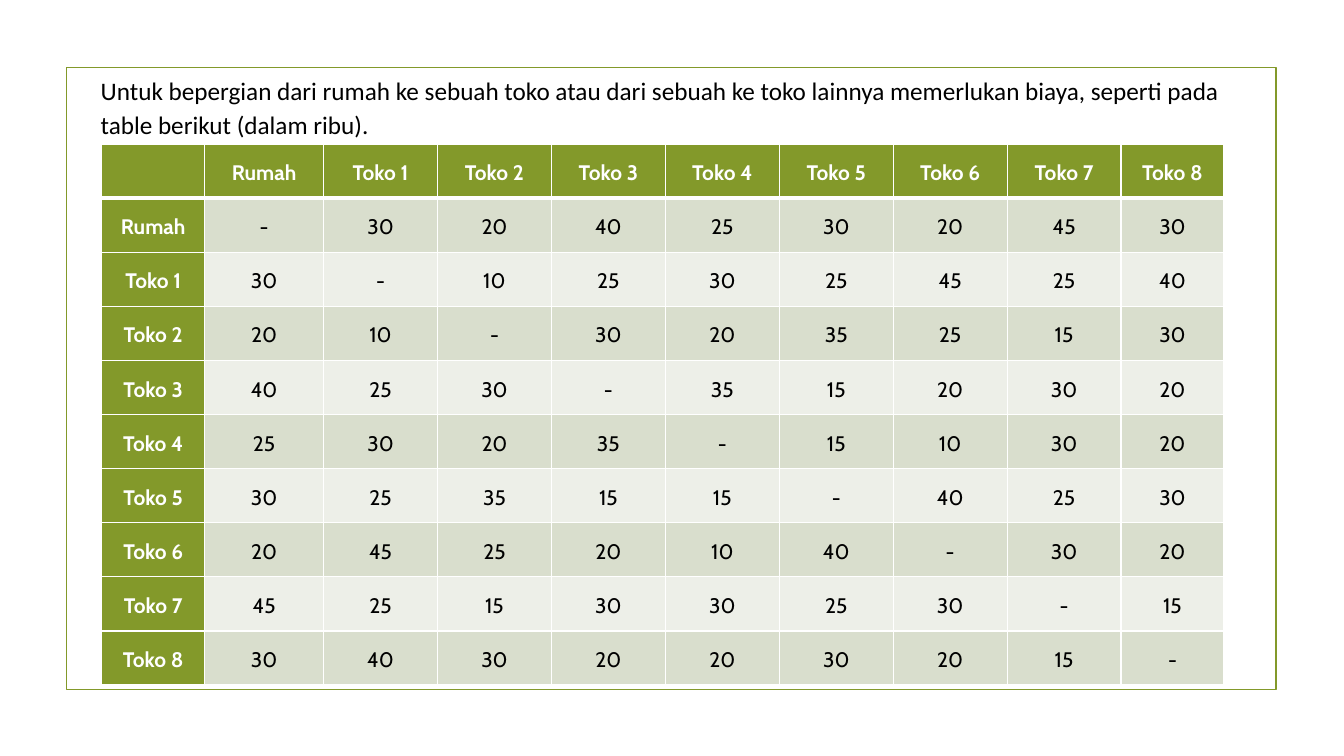
import dataclasses

import lxml.etree
import pptx
import pptx.dml.color
import pptx.enum.shapes
import pptx.enum.text
import pptx.oxml.ns
import pptx.util

Inches = pptx.util.Inches
Pt = pptx.util.Pt

COLORS = {
    "green": "83992A",
    "dark_band": "D9DECD",
    "light_band": "EDEFE8",
    "white": "FFFFFF",
    "black": "000000",
}

INTRO = (
    "Untuk bepergian dari rumah ke sebuah toko atau dari sebuah ke toko lainnya "
    "memerlukan biaya, seperti pada table berikut (dalam ribu)."
)
PLACES = ["Rumah"] + [f"Toko {number}" for number in range(1, 9)]

# Costs are the same both ways: each row lists the places after its own
COSTS_ONWARD = [
    [30, 20, 40, 25, 30, 20, 45, 30],
    [10, 25, 30, 25, 45, 25, 40],
    [30, 20, 35, 25, 15, 30],
    [35, 15, 20, 30, 20],
    [15, 10, 30, 20],
    [40, 25, 30],
    [30, 20],
    [15],
]
COLUMN_WIDTHS = [1.02, 1.18] + [1.13] * 7 + [1.02]
ROW_HEIGHT = 0.537


@dataclasses.dataclass(frozen=True)
class CellStyle:
    fill: str
    text: str
    bold: bool
    bottom_border: float = 1


HEADER = CellStyle("green", "white", True, bottom_border=3)
ROW_LABEL = CellStyle("green", "white", True)
BANDS = [
    CellStyle("dark_band", "black", False),
    CellStyle("light_band", "black", False),
]


def rgb(name: str) -> pptx.dml.color.RGBColor:
    return pptx.dml.color.RGBColor.from_string(COLORS[name])


def cost_text(start: int, end: int) -> str:
    if start == end:
        return "-"
    near, far = sorted((start, end))
    return str(COSTS_ONWARD[near][far - near - 1])


def format_paragraph(paragraph, font: str, size: float, color: str, bold: bool = False) -> None:
    paragraph.line_spacing = 1.15
    paragraph.space_after = Pt(6)
    paragraph.font.name = font
    paragraph.font.size = Pt(size)
    paragraph.font.bold = bold
    paragraph.font.color.rgb = rgb(color)


def add_border(cell, side: str, width: float) -> None:
    qn = pptx.oxml.ns.qn
    properties = cell._tc.get_or_add_tcPr()
    border = lxml.etree.SubElement(properties, qn(f"a:ln{side}"), w=str(Pt(width)))
    fill = lxml.etree.SubElement(border, qn("a:solidFill"))
    lxml.etree.SubElement(fill, qn("a:srgbClr"), val=COLORS["white"])


def fill_cell(cell, text: str, style: CellStyle, top_border: float) -> None:
    # Borders come before the fill in the cell properties
    for side, width in zip("LRTB", (1, 1, top_border, style.bottom_border)):
        add_border(cell, side, width)
    cell.fill.solid()
    cell.fill.fore_color.rgb = rgb(style.fill)
    cell.margin_left = cell.margin_right = Inches(0.07)
    cell.margin_top = cell.margin_bottom = 0
    cell.vertical_anchor = pptx.enum.text.MSO_ANCHOR.MIDDLE
    cell.text = text
    paragraph = cell.text_frame.paragraphs[0]
    paragraph.alignment = pptx.enum.text.PP_ALIGN.CENTER
    format_paragraph(paragraph, "Cabin", 15, style.text, style.bold)


def add_frame(slide) -> None:
    frame = slide.shapes.add_shape(
        pptx.enum.shapes.MSO_SHAPE.RECTANGLE,
        Inches(0.66), Inches(0.67), Inches(12), Inches(6.17),
    )
    frame.shadow.inherit = False
    frame.fill.background()
    frame.line.color.rgb = rgb("green")
    frame.line.width = Pt(1.25)


def add_intro(slide) -> None:
    intro = slide.shapes.add_textbox(Inches(0.9), Inches(0.65), Inches(11.35), Inches(0.8))
    intro.text_frame.word_wrap = True
    intro.text_frame.auto_size = pptx.enum.text.MSO_AUTO_SIZE.SHAPE_TO_FIT_TEXT
    intro.text_frame.text = INTRO
    format_paragraph(intro.text_frame.paragraphs[0], "Calibri", 18, "black")


def add_cost_table(slide) -> None:
    size = len(PLACES) + 1
    costs = slide.shapes.add_table(
        size, size, Inches(1.01), Inches(1.43),
        Inches(sum(COLUMN_WIDTHS)), Inches(ROW_HEIGHT * size),
    ).table
    costs.horz_banding = False
    costs.first_col = True
    for column, width in zip(costs.columns, COLUMN_WIDTHS):
        column.width = Inches(width)
    for row in costs.rows:
        row.height = Inches(ROW_HEIGHT)

    # Header row
    for column, label in enumerate([""] + PLACES):
        fill_cell(costs.cell(0, column), label, HEADER, top_border=1)

    # One row of costs for each starting place
    for start, place in enumerate(PLACES):
        top_border = HEADER.bottom_border if start == 0 else 1
        fill_cell(costs.cell(start + 1, 0), place, ROW_LABEL, top_border)
        for end in range(len(PLACES)):
            cell = costs.cell(start + 1, end + 1)
            fill_cell(cell, cost_text(start, end), BANDS[start % 2], top_border)


def main() -> None:
    presentation = pptx.Presentation()
    presentation.slide_width = Inches(13.33)
    presentation.slide_height = Inches(7.5)
    slide = presentation.slides.add_slide(presentation.slide_layouts[6])
    add_frame(slide)
    add_intro(slide)
    add_cost_table(slide)
    presentation.save("out.pptx")


if __name__ == "__main__":
    main()
